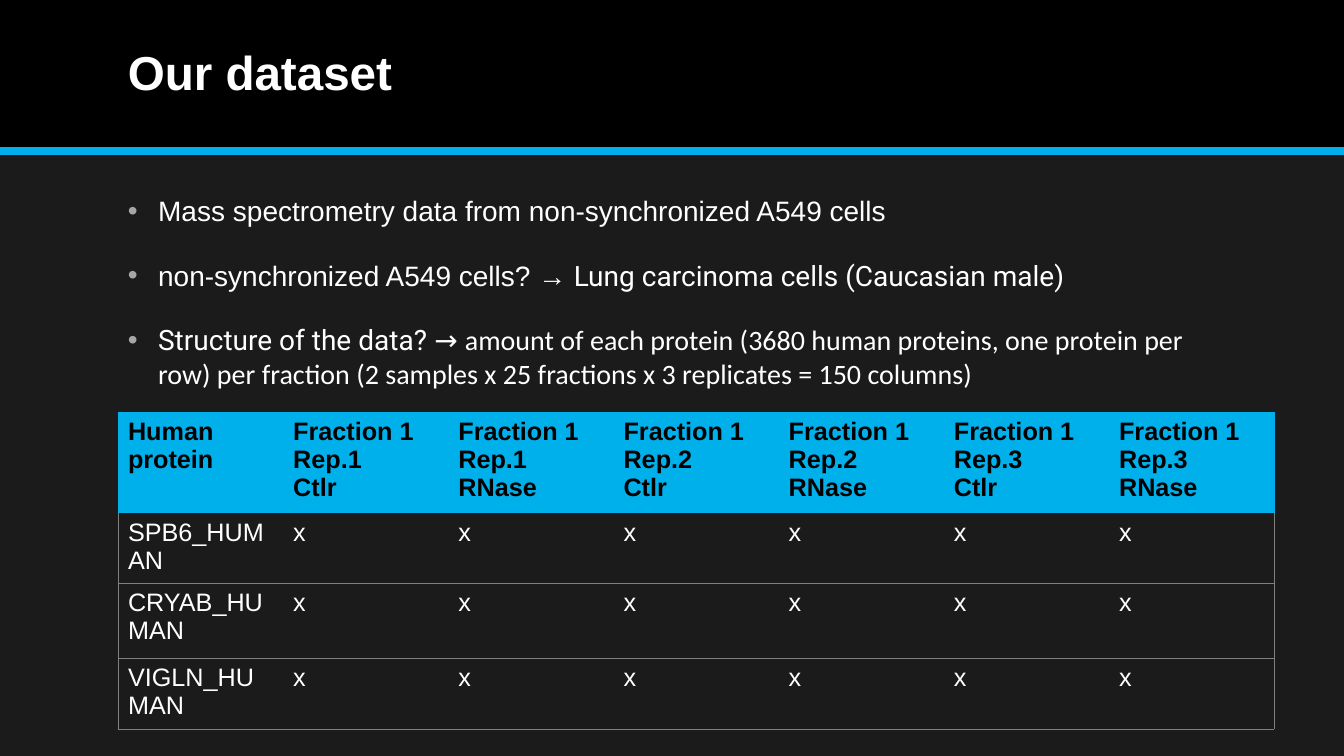
from dataclasses import dataclass

from lxml.etree import SubElement
from pptx import Presentation
from pptx.dml.color import RGBColor as RGB
from pptx.enum.shapes import MSO_CONNECTOR as CONN, MSO_SHAPE as SHAPE
from pptx.enum.text import MSO_ANCHOR as ANCHOR
from pptx.oxml import parse_xml
from pptx.oxml.ns import nsdecls, qn
from pptx.util import Inches, Pt

WIDTH, HEIGHT = 13.33, 7.5
NO_STYLE = "{2D5ABB26-0587-4C30-8999-92F81FD0307C}"


@dataclass(frozen=True)
class Theme:
    background: str = "1B1B1B"
    band: str = "000000"
    accent: str = "00B0EA"
    text: str = "FFFFFF"
    header_text: str = "000000"
    bullet: str = "A6A6A6"
    grid: str = "808080"
    font: str = "Arial"
    title_size: int = 34
    body_size: int = 20
    table_size: int = 18


THEME = Theme()

BULLETS = [
    [("Mass spectrometry data from non-synchronized A549 cells", "Arial")],
    [("non-synchronized A549 cells? →", "Arial"),
     (" Lung carcinoma cells (Caucasian male)", "Roboto")],
    [("Structure of the data? → ", "Roboto"),
     ("amount of each protein (3680 human proteins, one protein per row) "
      "per fraction (2 samples x 25 fractions x 3 replicates = 150 columns)",
      "Calibri")],
]
SAMPLES = [f"Fraction 1\nRep.{rep}\n{sample}"
           for rep in (1, 2, 3) for sample in ("Ctlr", "RNase")]
PROTEINS = ["SPB6_HUMAN", "CRYAB_HUMAN", "VIGLN_HUMAN"]
ROWS = [["Human protein", *SAMPLES]] + [[name] + ["x"] * len(SAMPLES) for name in PROTEINS]
ROW_HEIGHTS = [1, 0.7, 0.74, 0.7]


def style_run(r, size, color, font=THEME.font, bold=False):
    r.font.name, r.font.size, r.font.bold = font, Pt(size), bold
    r.font.color.rgb = RGB.from_string(color)


def add_text_frame(slide, box, anchor=ANCHOR.TOP):
    tf = slide.shapes.add_textbox(*map(Inches, box)).text_frame
    tf.word_wrap = True
    tf.vertical_anchor = anchor
    return tf


def add_header(slide, box, title_box):
    """Draw the title band, the rule along its lower edge and the title."""
    left, top, width, height = box
    band = slide.shapes.add_shape(SHAPE.RECTANGLE, *map(Inches, box))
    band.shadow.inherit = False
    band.fill.solid()
    band.fill.fore_color.rgb = RGB.from_string(THEME.band)
    band.line.fill.background()

    bottom = top + height
    rule = slide.shapes.add_connector(
        CONN.STRAIGHT, *map(Inches, (left, bottom, left + width, bottom)))
    rule.line.color.rgb = RGB.from_string(THEME.accent)
    rule.line.width = Pt(6)
    SubElement(rule._element.spPr, qn("a:effectLst"))

    tf = add_text_frame(slide, title_box, ANCHOR.MIDDLE)
    tf.text = "Our dataset"
    p = tf.paragraphs[0]
    p.line_spacing = 0.9
    style_run(p.runs[0], THEME.title_size, THEME.text, bold=True)


def set_bullet(p, indent):
    pPr = p._p.get_or_add_pPr()
    pPr.set("marL", str(Inches(indent)))
    pPr.set("indent", str(-Inches(indent)))
    color = SubElement(pPr, qn("a:buClr"))
    SubElement(color, qn("a:srgbClr"), val=THEME.bullet)
    SubElement(pPr, qn("a:buFont"), typeface=THEME.font)
    SubElement(pPr, qn("a:buChar"), char="•")


def add_bullets(slide, box):
    tf = add_text_frame(slide, box)
    for i, parts in enumerate(BULLETS):
        p = tf.add_paragraph() if i else tf.paragraphs[0]
        p.space_before = Pt(22 if i else 0)
        set_bullet(p, 0.3)
        for text, font in parts:
            r = p.add_run()
            r.text = text
            style_run(r, THEME.body_size, THEME.text, font)


def set_borders(cell, sides, color):
    """Draw half-point borders on the sides, given in the order L, R, T, B."""
    tcPr = cell._tc.get_or_add_tcPr()
    for i, side in enumerate(sides):
        tcPr.insert(i, parse_xml(
            f'<a:ln{side} {nsdecls("a")} w="{Pt(0.5)}"><a:solidFill>'
            f'<a:srgbClr val="{color}"/></a:solidFill></a:ln{side}>'))


def add_protein_table(slide, box):
    columns = len(ROWS[0])
    frame = slide.shapes.add_table(len(ROWS), columns, *map(Inches, box))
    table = frame.table
    table.horz_banding = False
    table._tbl.tblPr.find(qn("a:tableStyleId")).text = NO_STYLE
    for row, height in zip(table.rows, ROW_HEIGHTS):
        row.height = Inches(height)
    for i, texts in enumerate(ROWS):
        header = i == 0
        fill = THEME.accent if header else THEME.background
        border = THEME.accent if header else THEME.grid
        color = THEME.header_text if header else THEME.text
        for j, text in enumerate(texts):
            cell = table.cell(i, j)
            cell.text = text
            cell.fill.solid()
            cell.fill.fore_color.rgb = RGB.from_string(fill)
            ends = ("L" if j == 0 else "") + ("R" if j == columns - 1 else "")
            set_borders(cell, ends + ("T" if header else "B"), border)
            for p in cell.text_frame.paragraphs:
                style_run(p.runs[0], THEME.table_size, color, bold=header)


def main():
    prs = Presentation()
    prs.slide_width, prs.slide_height = Inches(WIDTH), Inches(HEIGHT)
    slide = prs.slides.add_slide(prs.slide_layouts[6])
    slide.background.fill.solid()
    slide.background.fill.fore_color.rgb = RGB.from_string(THEME.background)

    margin, text_width = 1.17, 11
    add_header(slide, (0, 0, WIDTH, HEIGHT / 5), (margin, 0.14, text_width, 1.2))
    add_bullets(slide, (margin, HEIGHT / 4, text_width, 0.65 * HEIGHT))
    add_protein_table(slide, (margin, 4.09, 11.47, sum(ROW_HEIGHTS)))
    prs.save("out.pptx")


if __name__ == "__main__":
    main()
